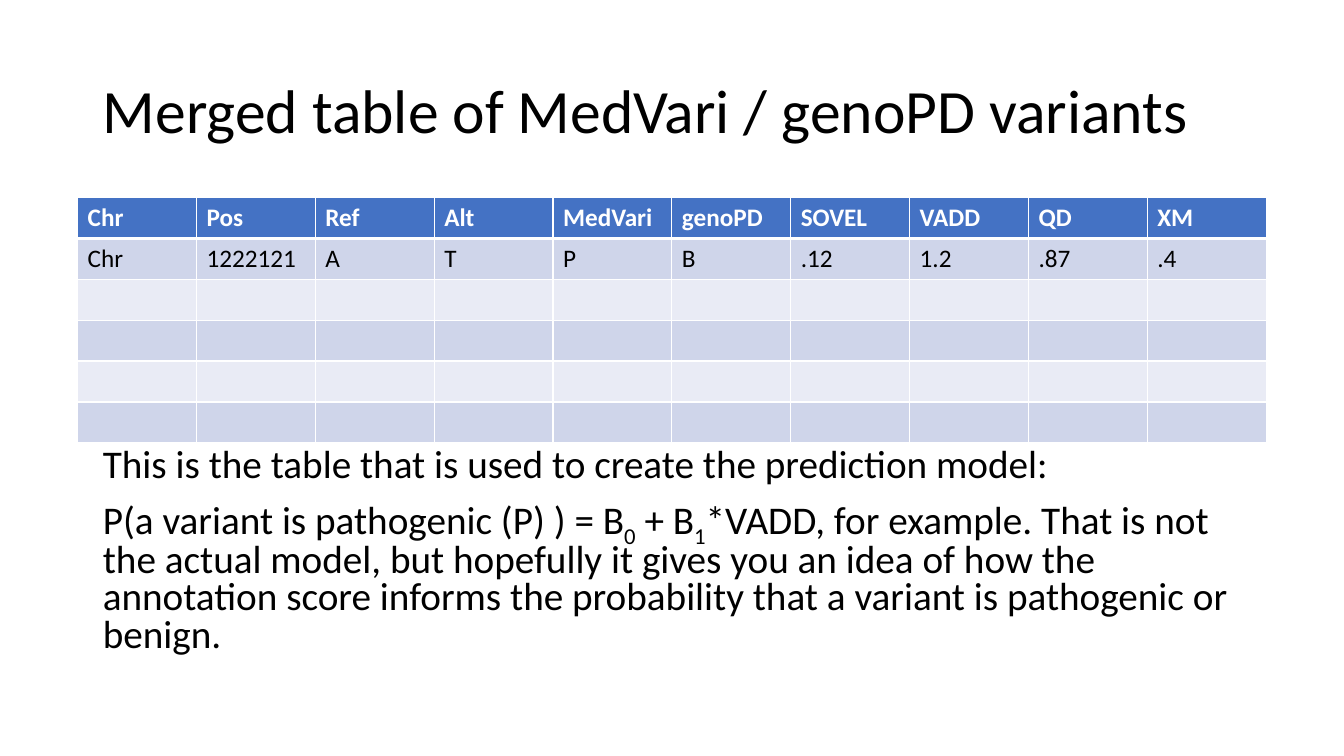
from lxml import etree
from pptx import Presentation
from pptx.dml.color import RGBColor
from pptx.enum.text import MSO_ANCHOR, MSO_AUTO_SIZE, PP_ALIGN
from pptx.oxml.ns import qn
from pptx.util import Inches, Pt

LEFT = PP_ALIGN.LEFT
TOP, MIDDLE = MSO_ANCHOR.TOP, MSO_ANCHOR.MIDDLE
NO_AUTOFIT = MSO_AUTO_SIZE.NONE

FONT = "Calibri"
BLACK, WHITE = "000000", "FFFFFF"
HEADER_FILL = "4472C4"
BAND_FILLS = ["CFD5EA", "E9EBF5"]

TITLE = "Merged table of MedVari / genoPD variants"
VARIANTS = [
    ["Chr", "Pos", "Ref", "Alt", "MedVari", "genoPD", "SOVEL", "VADD", "QD", "XM"],
    ["Chr", "1222121", "A", "T", "P", "B", ".12", "1.2", ".87", ".4"],
]
ROW_COUNT = 6
# Each paragraph alternates normal and subscript spans.
EXPLANATION = [
    ["This is the table that is used to create the prediction model:"],
    ["P(a variant is pathogenic (P) ) = B", "0", " + B", "1",
     "*VADD, for example. That is not the actual model, but hopefully it gives "
     "you an idea of how the annotation score informs the probability that a "
     "variant is pathogenic or benign."],
]


def color(hex_code):
    return RGBColor.from_string(hex_code)


def format_span(span, size, hex_code, bold=False):
    font = span.font
    font.name, font.size, font.bold = FONT, Pt(size), bold
    font.color.rgb = color(hex_code)


def place(shape, box, anchor):
    shape.left, shape.top, shape.width, shape.height = map(Inches, box)
    frame = shape.text_frame
    frame.word_wrap = True
    frame.auto_size = NO_AUTOFIT
    frame.vertical_anchor = anchor


def fill_title(title, box):
    place(title, box, MIDDLE)
    title.text_frame.text = TITLE
    para = title.text_frame.paragraphs[0]
    para.alignment = LEFT
    para.line_spacing = 0.9
    format_span(para.runs[0], 44, BLACK)


def remove_bullet(para):
    properties = para._p.get_or_add_pPr()
    properties.set("marL", "0")
    properties.set("indent", "0")
    etree.SubElement(properties, qn("a:buNone"))


def fill_explanation(body, box):
    place(body, box, TOP)
    frame = body.text_frame
    for index, texts in enumerate(EXPLANATION):
        para = frame.add_paragraph() if index else frame.paragraphs[0]
        para.alignment = LEFT
        para.line_spacing = 0.8
        para.space_before = Pt(10)
        remove_bullet(para)
        for position, text in enumerate(texts):
            span = para.add_run()
            span.text = text
            format_span(span, 28, BLACK)
            if position % 2:
                span._r.get_or_add_rPr().set("baseline", "-25000")


def add_borders(cell, top, bottom):
    """Draw white cell borders, with top and bottom widths in points."""
    properties = cell._tc.get_or_add_tcPr()
    for side, width in [("L", 1), ("R", 1), ("T", top), ("B", bottom)]:
        line = etree.SubElement(properties, qn(f"a:ln{side}"), w=str(Pt(width)))
        fill = etree.SubElement(line, qn("a:solidFill"))
        etree.SubElement(fill, qn("a:srgbClr"), val=WHITE)


def add_variant_table(page, box):
    column_count = len(VARIANTS[0])
    table = page.shapes.add_table(
        ROW_COUNT, column_count, *map(Inches, box)).table
    for row_index, row in enumerate(table.rows):
        header = row_index == 0
        fill = HEADER_FILL if header else BAND_FILLS[(row_index - 1) % 2]
        for column_index, cell in enumerate(row.cells):
            add_borders(cell, 3 if row_index == 1 else 1, 3 if header else 1)
            cell.fill.solid()
            cell.fill.fore_color.rgb = color(fill)
            if row_index < len(VARIANTS):
                cell.text_frame.text = VARIANTS[row_index][column_index]
                span = cell.text_frame.paragraphs[0].runs[0]
                format_span(span, 18, WHITE if header else BLACK, header)


def main():
    deck = Presentation()
    deck.slide_width, deck.slide_height = Inches(13.33), Inches(7.5)
    page = deck.slides.add_slide(deck.slide_layouts[1])
    fill_title(page.shapes.title, (0.92, 0.4, 11.5, 1.45))
    add_variant_table(page, (0.77, 1.96, 11.79, 2.43))
    fill_explanation(page.placeholders[1], (0.92, 4.4, 11.5, 2.32))
    deck.save("out.pptx")


if __name__ == "__main__":
    main()
